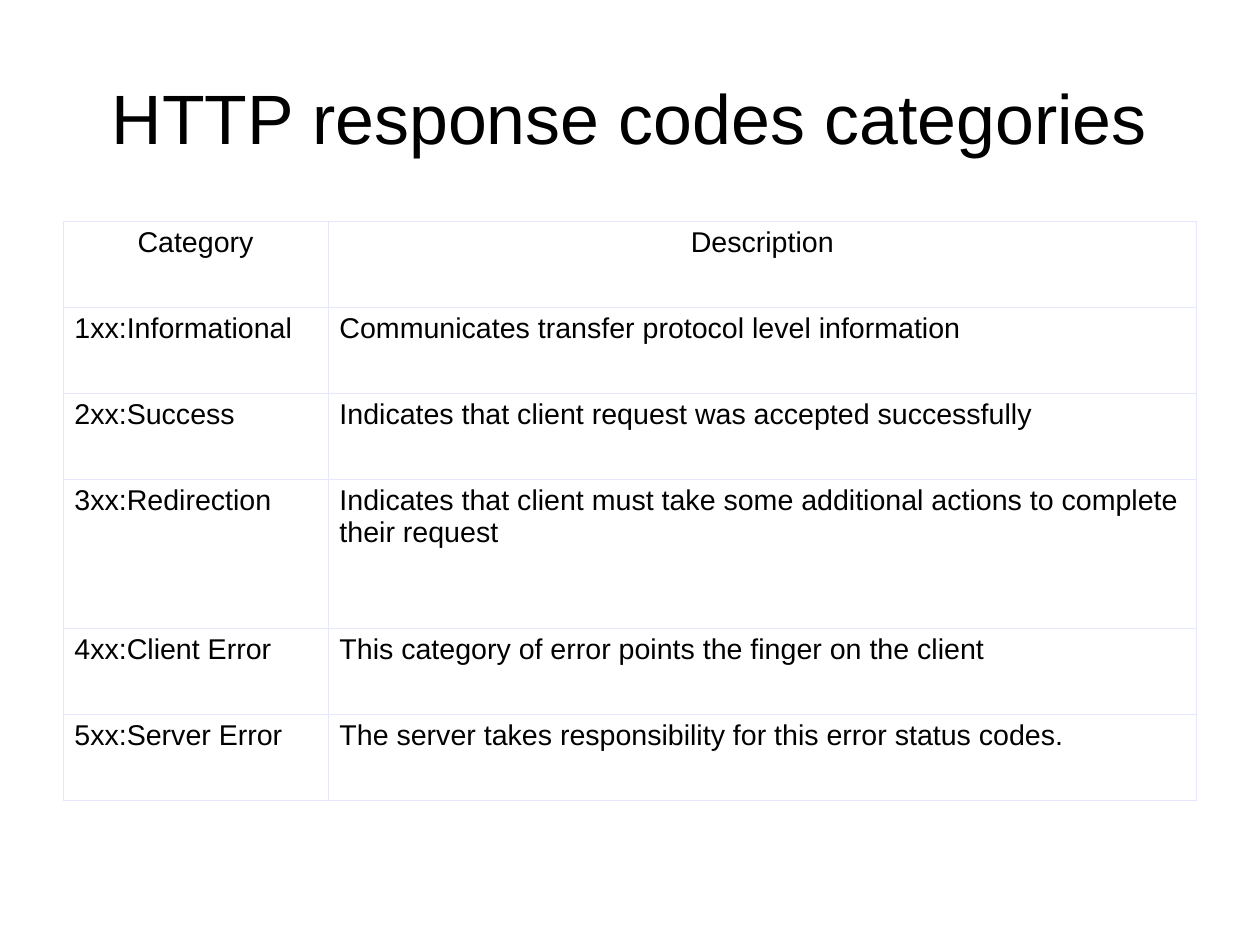
from lxml import etree
from pptx import Presentation
from pptx import util as u
from pptx.dml.color import RGBColor
from pptx.enum import text
from pptx.oxml import ns

ROWS = [
    ("Category", "Description"),
    ("1xx:Informational", "Communicates transfer protocol level information"),
    ("2xx:Success", "Indicates that client request was accepted successfully"),
    ("3xx:Redirection", "Indicates that client must take some additional actions to complete their request"),
    ("4xx:Client Error", "This category of error points the finger on the client"),
    ("5xx:Server Error", "The server takes responsibility for this error status codes."),
]
COLUMN_WIDTHS = (5.89, 19.3)
ROW_HEIGHTS = (1.91, 1.91, 1.91, 3.31, 1.91, 1.91)


def color(hex_value):
    return RGBColor.from_string(hex_value)


class SlideBuilder:
    """Holds the style and the current slide."""

    font = "Arial"
    ink = "000000"
    paper = "FFFFFF"
    border = "E6E6FF"
    border_width = u.Pt(0.06)

    def __init__(self, deck):
        self.page = deck.slides.add_slide(deck.slide_layouts[5])

    def style(self, para, size, align):
        para.alignment = align
        for span in para.runs:
            span.font.name = self.font
            span.font.size = u.Pt(size)
            span.font.color.rgb = color(self.ink)

    def title(self, wording, left, top, width, height):
        box = self.page.shapes.title
        box.left, box.top, box.width, box.height = map(u.Cm, (left, top, width, height))
        frame = box.text_frame
        frame.margin_left = frame.margin_right = frame.margin_top = frame.margin_bottom = 0
        frame.word_wrap = True
        frame.auto_size = text.MSO_AUTO_SIZE.SHAPE_TO_FIT_TEXT
        frame.vertical_anchor = text.MSO_ANCHOR.MIDDLE
        frame.text = wording
        self.style(frame.paragraphs[0], 44, text.PP_ALIGN.CENTER)

    def outline(self, cell):
        properties = cell._tc.get_or_add_tcPr()
        for side in ("a:lnL", "a:lnR", "a:lnT", "a:lnB"):
            line = etree.SubElement(properties, ns.qn(side), w=str(int(self.border_width)))
            fill = etree.SubElement(line, ns.qn("a:solidFill"))
            etree.SubElement(fill, ns.qn("a:srgbClr"), val=self.border)

    def table(self, rows, left, top, widths, heights):
        frame = self.page.shapes.add_table(
            len(rows), len(widths), u.Cm(left), u.Cm(top), u.Cm(sum(widths)), u.Cm(sum(heights))
        )
        grid = frame.table
        grid.first_row = grid.horz_banding = False
        for column, width in zip(grid.columns, widths):
            column.width = u.Cm(width)
        for index, (row, height, wordings) in enumerate(zip(grid.rows, heights, rows)):
            row.height = u.Cm(height)
            align = text.PP_ALIGN.LEFT if index else text.PP_ALIGN.CENTER
            for cell, wording in zip(row.cells, wordings):
                self.outline(cell)
                cell.fill.solid()
                cell.fill.fore_color.rgb = color(self.paper)
                cell.text_frame.text = wording
                self.style(cell.text_frame.paragraphs[0], 18, align)


def main():
    deck = Presentation()
    deck.slide_width, deck.slide_height = u.Cm(28), u.Cm(21)
    builder = SlideBuilder(deck)
    builder.title("HTTP response codes categories", 1.4, 0.84, 25.2, 3.51)
    builder.table(ROWS, 1.4, 4.91, COLUMN_WIDTHS, ROW_HEIGHTS)
    deck.save("out.pptx")


if __name__ == "__main__":
    main()
